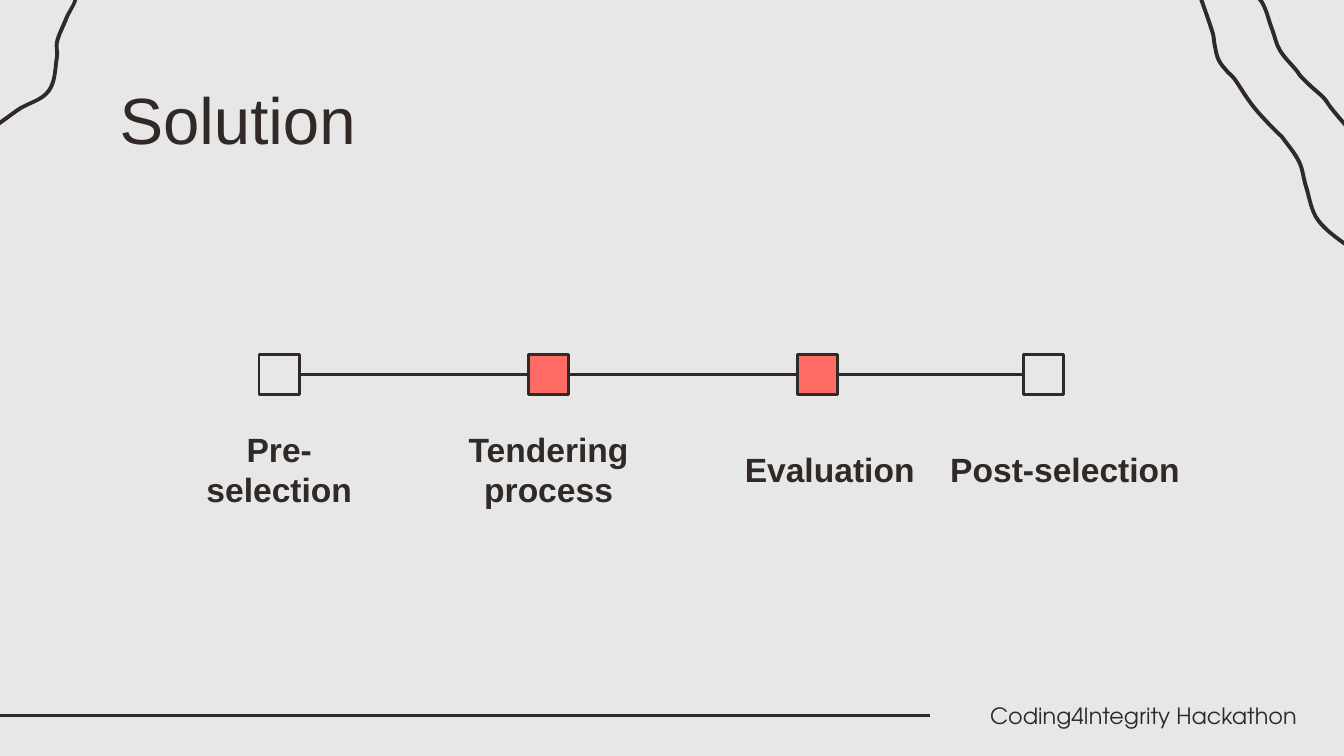
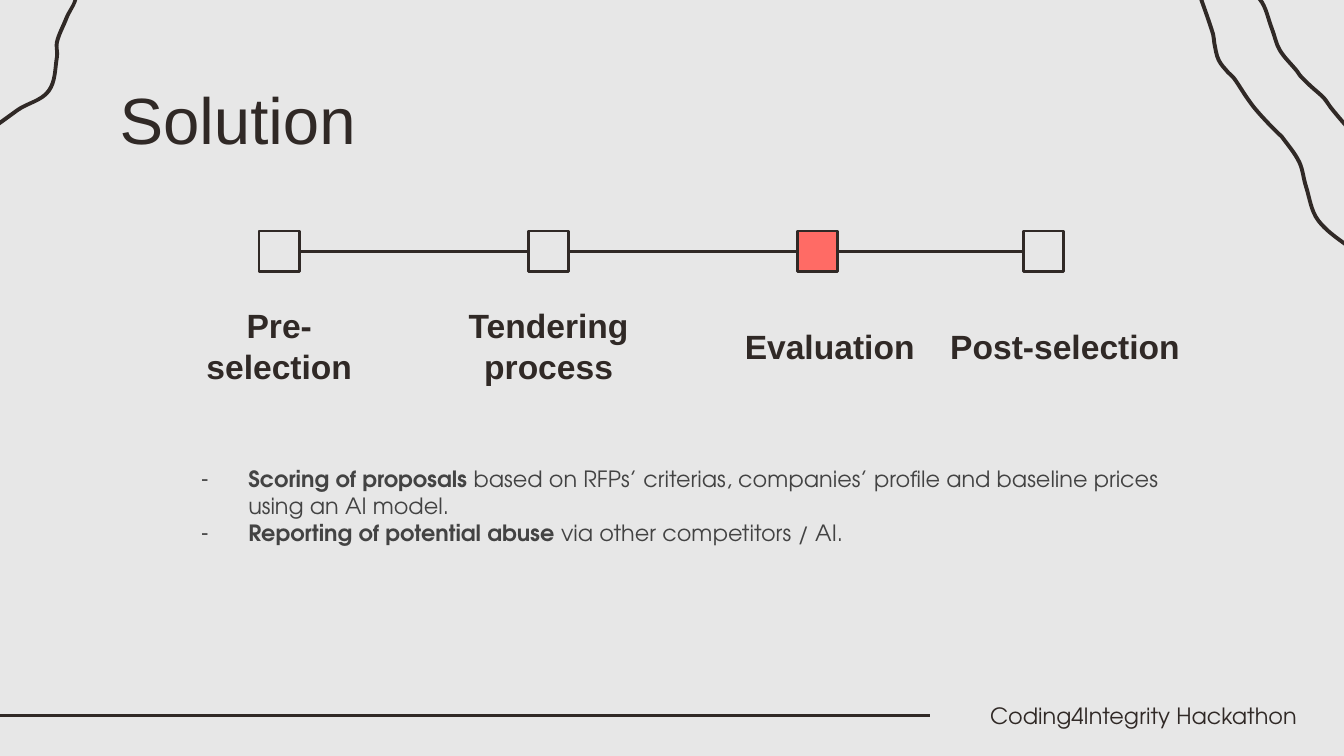
import math
import pptx
import pptx.util
import pptx.dml.color
import pptx.enum.shapes
import pptx.enum.text
import pptx.oxml
import pptx.oxml.ns

Pt = pptx.util.Pt
ALIGN = pptx.enum.text.PP_ALIGN
ANCHOR = pptx.enum.text.MSO_ANCHOR
KIND = pptx.enum.shapes.MSO_SHAPE
WIRE = pptx.enum.shapes.MSO_CONNECTOR
qn = pptx.oxml.ns.qn

HEX = {"paper": "E7E7E7", "ink": "302926", "coral": "FF6B65", "gray": "434343"}
SANS = "Arial"
ROUND = "TeX Gyre Adventor"

TITLE_FONT = {"name": SANS, "size": Pt(35), "bold": False}
STEP_FONT = {"name": SANS, "size": Pt(18), "bold": True}
FOOT_FONT = {"name": ROUND, "size": Pt(12), "bold": False}

TITLE_BOX = (56.9, 40.6, 607, 45.4)
BODY_BOX = (89.8, 242, 540.7, 89.3)
FOOT_BOX = (498.4, 364.6, 203.6, 37.4)
FOOT_START = -26
FOOTER = "Coding4Integrity Hackathon"
SIDE = 21.6
LABEL_DROP = 33.2
LABEL_HIGH = 34.6
STROKE = 2.1

STEPS = [
    ("Pre-selection", 138.8, 86.6, 126),
    ("Tendering process", 283, 230.9, 126),
    ("Post-selection", 548.4, 481.7, 177.8),
    ("Evaluation", 427.2, 381.5, 126),
]

SLIDES = [
    {"title": "Solution", "mid": 200.6, "hot": ("Tendering process", "Evaluation"), "points": []},
    {"title": "Solution", "mid": 134.6, "hot": ("Evaluation",), "points": [
        ("Scoring of proposals ",
         "based on RFPs’ criterias, companies’ profile and baseline prices using an AI model."),
        ("Reporting of potential abuse ", "via other competitors / AI."),
    ]},
]

WAVES = [
    [(-49.7, 110.9), (-51.8, 104.4), (8.6, 58.3), (25.2, 48.2),
     (29.5, 30.2), (29.5, 22.3), (34.6, 9.4), (39.6, -3.6),
     (23.8, -43.2), (13.7, -59.8)],
    [(738, 108.7), (730.8, 88.6), (729.4, 84.2), (727.9, 76.3), (722.2, 69.8),
     (720, 67.7), (712.1, 58.3), (708.5, 53.3), (701.3, 46.8), (695.5, 41),
     (694.1, 38.9), (684.7, 27.4), (680.4, 15.8), (673.9, 0), (654.5, -15.8),
     (647.3, -20.2), (627.8, -33.8), (612.7, -45.4), (601.9, -52.6)],
    [(643, -5), (650.9, 18), (651.6, 23), (653.8, 31.7), (658.8, 38.2),
     (661.7, 41), (668.9, 51.8), (673.2, 57.6), (679.7, 64.8), (685.4, 70.6),
     (687.6, 72.7), (697, 86.4), (700.6, 99.4), (707, 117.4), (726.5, 133.9),
     (733.7, 139), (753.1, 154.8), (768.2, 167), (779.8, 175.7)],
]


def color(name):
    return pptx.dml.color.RGBColor.from_string(HEX[name])


def pts(box):
    return [Pt(v) for v in box]


def put(item, values):
    for key, value in values.items():
        setattr(item, key, value)


def paint(item, name):
    item.fill.solid()
    item.fill.fore_color.rgb = color(name)


def ink(line):
    line.color.rgb = color("ink")
    line.width = Pt(1.5)


def place(item, box):
    put(item, dict(zip(("left", "top", "width", "height"), pts(box))))


def frame(shape, anchor):
    text = shape.text_frame
    put(text, {"word_wrap": True, "auto_size": pptx.enum.text.MSO_AUTO_SIZE.NONE,
               "vertical_anchor": anchor})
    for edge in ("left", "right", "top", "bottom"):
        setattr(text, "margin_" + edge, Pt(7.2))
    return text


def write(para, words, font, tint="ink"):
    run = para.add_run()
    run.text = words
    put(run.font, font)
    run.font.color.rgb = color(tint)


def fill_text(shape, words, font, align):
    para = frame(shape, ANCHOR.MIDDLE).paragraphs[0]
    para.alignment = align
    write(para, words, font)


def wire(slide, x1, x2, y):
    line = slide.shapes.add_connector(WIRE.STRAIGHT, *pts((x1, y, x2, y)))
    ink(line.line)
    props = line._element.spPr
    props.append(props.makeelement(qn("a:effectLst"), {}))
    return line


def rect(slide, box, tint):
    shape = slide.shapes.add_shape(KIND.RECTANGLE, *pts(box))
    shape.shadow.inherit = False
    paint(shape, tint)
    return shape


def slopes(knots):
    units = []
    for (x1, y1), (x2, y2) in zip([knots[0], *knots], [*knots[1:], knots[-1]]):
        units.append((x2 - x1, y2 - y1))
    return [(x / math.hypot(x, y), y / math.hypot(x, y)) for x, y in units]


def tangents(knots):
    ends = [knots[0], *knots, knots[-1]]
    return slopes_of(zip(ends, ends[2:]))


def slopes_of(pairs):
    units = []
    for (x1, y1), (x2, y2) in pairs:
        size = math.hypot(x2 - x1, y2 - y1)
        units.append(((x2 - x1) / size, (y2 - y1) / size))
    return units


def curve(knots):
    dots = [knots[0]]
    units = tangents(knots)
    for a, b, (ux, uy), (vx, vy) in zip(knots, knots[1:], units, units[1:]):
        pull = math.dist(a, b) / 3
        dots += [(a[0] + ux * pull, a[1] + uy * pull),
                 (b[0] - vx * pull, b[1] - vy * pull), b]
    return dots


def ribbon(knots):
    edge = [(x - STROKE * uy, y + STROKE * ux)
            for (x, y), (ux, uy) in zip(knots, tangents(knots))]
    near, far = curve(knots), curve(edge[::-1])
    return near + [near[-1], far[0]] + far


def add_waves(slide, master):
    tree = master.shapes._spTree
    for spot, knots in enumerate(WAVES, 2):
        first, *rest = [pts(dot) for dot in ribbon(knots)]
        pen = slide.shapes.build_freeform(*first)
        pen.add_line_segments(rest, close=True)
        wave = pen.convert_to_shape()
        wave.shadow.inherit = False
        paint(wave, "ink")
        wave.line.fill.background()
        lines = list(wave._element.iter(qn("a:lnTo")))
        for trio in zip(lines[::3], lines[1::3], lines[2::3]):
            bend = trio[0].makeelement(qn("a:cubicBezTo"), {})
            trio[0].addprevious(bend)
            for line in trio:
                bend.append(line[0])
                line.getparent().remove(line)
        tree.insert(spot, wave._element)


def add_title(slide, words):
    title = slide.shapes.title
    place(title, TITLE_BOX)
    fill_text(title, words, TITLE_FONT, ALIGN.LEFT)


def add_foot(slide):
    box = slide.shapes.add_textbox(*pts(FOOT_BOX))
    fill_text(box, FOOTER, FOOT_FONT, ALIGN.RIGHT)
    left, top, _, high = FOOT_BOX
    wire(slide, FOOT_START, left, top + high / 2).end_connect(box, 1)


def add_steps(slide, mid, hot):
    for name, _, left, wide in STEPS:
        label = rect(slide, (left, mid + LABEL_DROP, wide, LABEL_HIGH), "paper")
        label.line.fill.background()
        fill_text(label, name, STEP_FONT, ALIGN.CENTER)
    order = sorted(STEPS, key=lambda step: step[1])
    line = wire(slide, order[0][1] + SIDE, order[-1][1], mid)
    marks = []
    for name, left, *_ in order:
        mark = rect(slide, (left, mid - SIDE / 2, SIDE, SIDE), "coral" if name in hot else "paper")
        ink(mark.line)
        marks.append(mark)
    line.begin_connect(marks[0], 3)
    line.end_connect(marks[-1], 1)


def dash(para):
    props = para._p.get_or_add_pPr()
    for key, size in (("marL", 36), ("indent", -25.2)):
        props.set(key, str(Pt(size)))
    space = pptx.oxml.ns.nsdecls("a")
    for part in (f'<a:buClr {space}><a:srgbClr val="{HEX["gray"]}"/></a:buClr>',
                 f'<a:buChar {space} char="-"/>'):
        props.append(pptx.oxml.parse_xml(part))


def add_points(slide, points):
    body = slide.placeholders[1]
    place(body, BODY_BOX)
    text = frame(body, ANCHOR.TOP)
    for i, (lead, rest) in enumerate(points):
        para = text.add_paragraph() if i else text.paragraphs[0]
        dash(para)
        put(para, {"alignment": ALIGN.LEFT, "space_before": Pt(0)})
        write(para, lead, {**FOOT_FONT, "bold": True}, "gray")
        write(para, rest, FOOT_FONT, "gray")


def main():
    deck = pptx.Presentation()
    put(deck, {"slide_width": Pt(720), "slide_height": Pt(405)})
    master = deck.slide_master
    paint(master.background, "paper")
    for i, page in enumerate(SLIDES):
        slide = deck.slides.add_slide(deck.slide_layouts[1 if page["points"] else 5])
        if i == 0:
            add_waves(slide, master)
        add_title(slide, page["title"])
        if page["points"]:
            add_points(slide, page["points"])
        add_foot(slide)
        add_steps(slide, page["mid"], page["hot"])
    deck.save("out.pptx")


if __name__ == "__main__":
    main()
